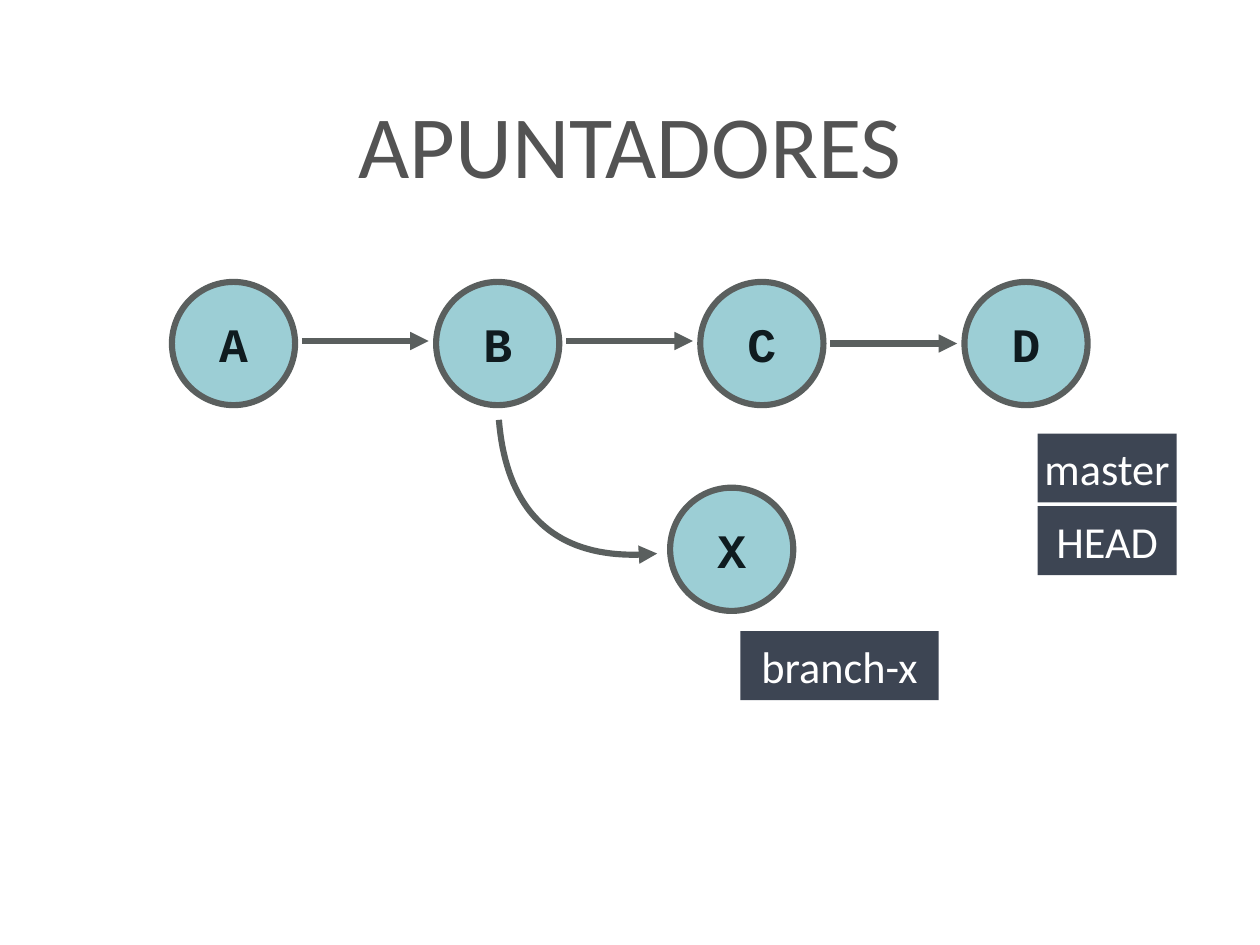
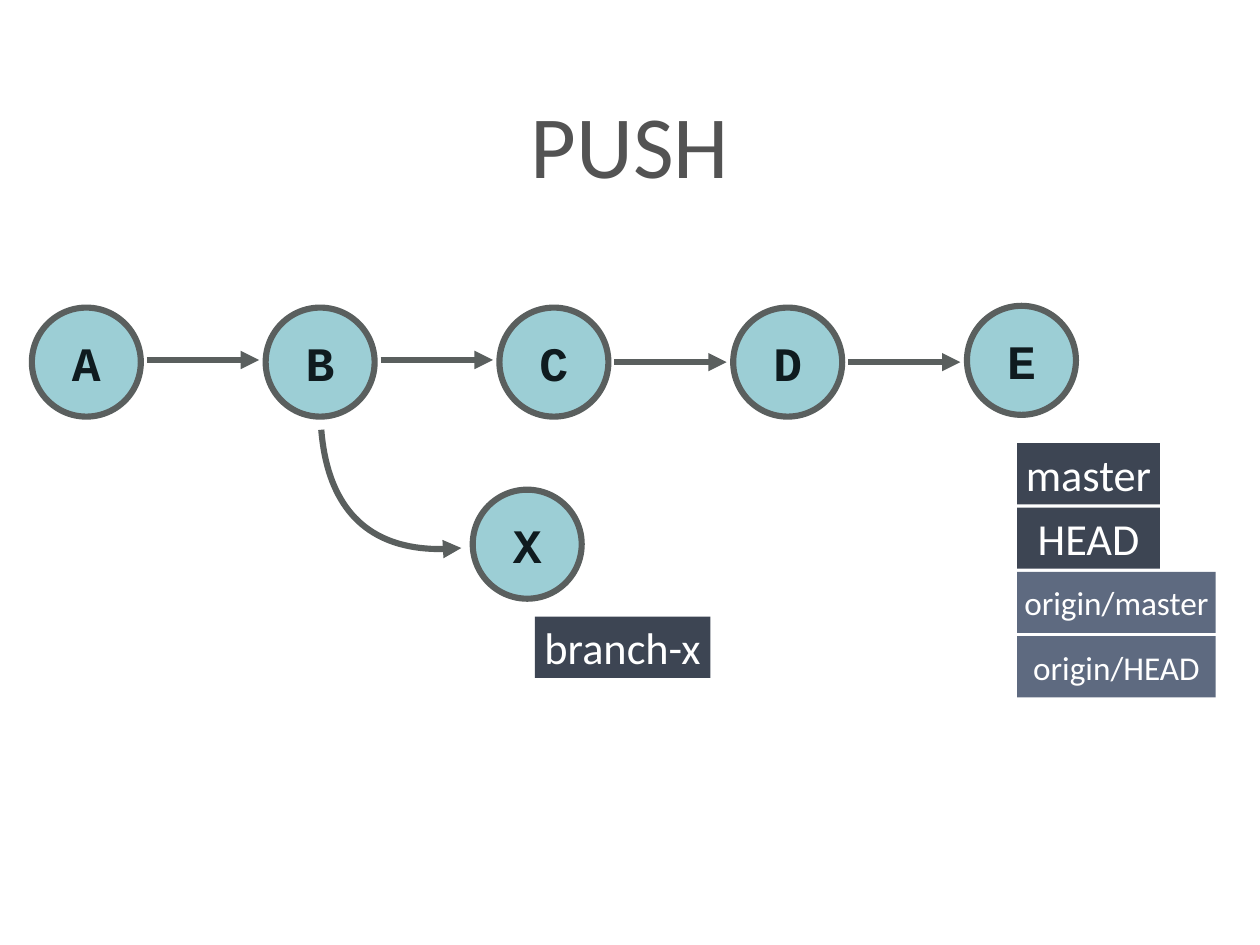
from lxml.etree import SubElement
from pptx import Presentation
from pptx.dml.color import RGBColor
from pptx.enum.shapes import MSO_CONNECTOR, MSO_SHAPE
from pptx.enum.text import MSO_ANCHOR, MSO_AUTO_SIZE, PP_ALIGN
from pptx.oxml.ns import qn
from pptx.util import Inches, Pt

WIDE, HIGH = 14.22, 10.66
GREY = RGBColor(0x53, 0x53, 0x53)
EDGE = RGBColor(0x5A, 0x5F, 0x5E)
AQUA = RGBColor(0x9C, 0xCE, 0xD5)
INK = RGBColor(0x0F, 0x1B, 0x1F)
SLATE = RGBColor(0x3D, 0x45, 0x53)
STEEL = RGBColor(0x5E, 0x6A, 0x80)
WHITE = RGBColor(0xFF, 0xFF, 0xFF)
SANS, MONO = "Calibri", "Courier New"

# Shares of a node's diameter
PITCH = 2.145      # from node to node
GAP, REACH = 1.055, 1.03    # start and length of an arrow
SIDE = (1.9, 1.67)    # from the forking node to the side node
BEND = ((0.51, 1.12), (0.575, 1.91), (1.01, 2.28), (1.795, 2.205))
TAG_HIGH, TAG_STEP = 0.56, 0.59
STEPS = 40


def write(shape, text, size, color, font=SANS, bold=False, inset=0.06):
    frame = shape.text_frame
    frame.text = text
    frame.word_wrap = False
    frame.auto_size = MSO_AUTO_SIZE.NONE
    frame.vertical_anchor = MSO_ANCHOR.MIDDLE
    frame.margin_left = frame.margin_right = Inches(inset)
    frame.margin_top = frame.margin_bottom = Inches(inset)
    line = frame.paragraphs[0]
    line.alignment = PP_ALIGN.CENTER
    face = line.runs[0].font
    face.name, face.size, face.bold = font, Pt(size), bold
    face.color.rgb = color


def block(slide, kind, box, fill):
    shape = slide.shapes.add_shape(kind, *map(Inches, box))
    shape.shadow.inherit = False
    shape.fill.solid()
    shape.fill.fore_color.rgb = fill
    shape.line.fill.background()
    return shape


def stroke(shape, arrow=False):
    shape.line.color.rgb = EDGE
    shape.line.width = Pt(5)
    if arrow:
        SubElement(shape.line._get_or_add_ln(), qn("a:tailEnd"), type="triangle")


def node(slide, left, top, size, name):
    shape = block(slide, MSO_SHAPE.OVAL, (left, top, size, size), AQUA)
    stroke(shape)
    write(shape, name, 39, INK, MONO, True, 0)


def arrow(slide, left, top, span):
    ends = map(Inches, (left, top, left + span, top))
    line = slide.shapes.add_connector(MSO_CONNECTOR.STRAIGHT, *ends)
    stroke(line, True)
    SubElement(line._element.spPr, qn("a:effectLst"))


def tag(slide, left, top, wide, high, text, fill=SLATE, size=36):
    shape = block(slide, MSO_SHAPE.RECTANGLE, (left, top, wide, high), fill)
    write(shape, text, size, WHITE)


def curve(slide, left, top, size):
    """Bends from the forking node, whose corner is given, to the side node."""
    dots = []
    for step in range(STEPS + 1):
        t = step / STEPS
        parts = ((1 - t) ** 3, 3 * t * (1 - t) ** 2, 3 * t * t * (1 - t), t ** 3)
        x, y = (sum(p * c for p, c in zip(parts, axis)) for axis in zip(*BEND))
        dots.append((Inches(left + x * size), Inches(top + y * size)))
    pen = slide.shapes.build_freeform(*dots[0])
    pen.add_line_segments(dots[1:], close=False)
    shape = pen.convert_to_shape()
    shape.shadow.inherit = False
    shape.fill.background()
    stroke(shape, True)


def chain(slide, left, top, size, names, lift=0):
    """Row of linked nodes; lift raises the last one."""
    last = len(names) - 1
    for spot, name in enumerate(names):
        x = left + spot * PITCH * size
        node(slide, x, top - (lift if spot == last else 0), size, name)
        if spot < last:
            level = 0.48 if spot < 2 else 0.5
            arrow(slide, x + GAP * size, top + level * size, REACH * size)


def fork(slide, left, top, size):
    """Side branch of the node whose corner is given."""
    curve(slide, left, top, size)
    x, y = left + SIDE[0] * size, top + SIDE[1] * size
    node(slide, x, y, size, "X")
    tag(slide, x + 0.57 * size, y + 1.165 * size,
        1.61 * size, TAG_HIGH * size, "branch-x")


def stack(slide, left, top, size, tags):
    for row, (text, wide, *look) in enumerate(tags):
        tag(slide, left, top + row * TAG_STEP * size, wide,
            TAG_HIGH * size, text, *look)


def graph(deck, title, box, names, spot, tags, lift=0):
    """Slide with a commit chain, its side branch and its pointers."""
    slide = deck.slides.add_slide(deck.slide_layouts[5])
    write(slide.shapes.title, title, 72, GREY)
    left, top, size = box
    chain(slide, left, top, size, names, lift)
    fork(slide, left + PITCH * size, top, size)
    stack(slide, *spot, size, tags)


def main():
    deck = Presentation()
    deck.slide_width, deck.slide_height = Inches(WIDE), Inches(HIGH)
    head = deck.slide_layouts[5].placeholders[0]
    head.left, head.top = Inches(0.39), Inches(0.28)
    head.width, head.height = Inches(13.44), Inches(2.67)
    graph(deck, "APUNTADORES", (1.94, 3.18, 1.39), "ABCD", (11.71, 4.89),
          [("master", 1.57), ("HEAD", 1.57)])
    graph(deck, "PUSH", (0.36, 3.47, 1.23), "ABCDE", (11.48, 5),
          [("master", 1.61), ("HEAD", 1.61),
           ("origin/master", 2.24, STEEL, 27),
           ("origin/HEAD", 2.24, STEEL, 27)], lift=0.02)
    deck.save("out.pptx")


if __name__ == "__main__":
    main()
